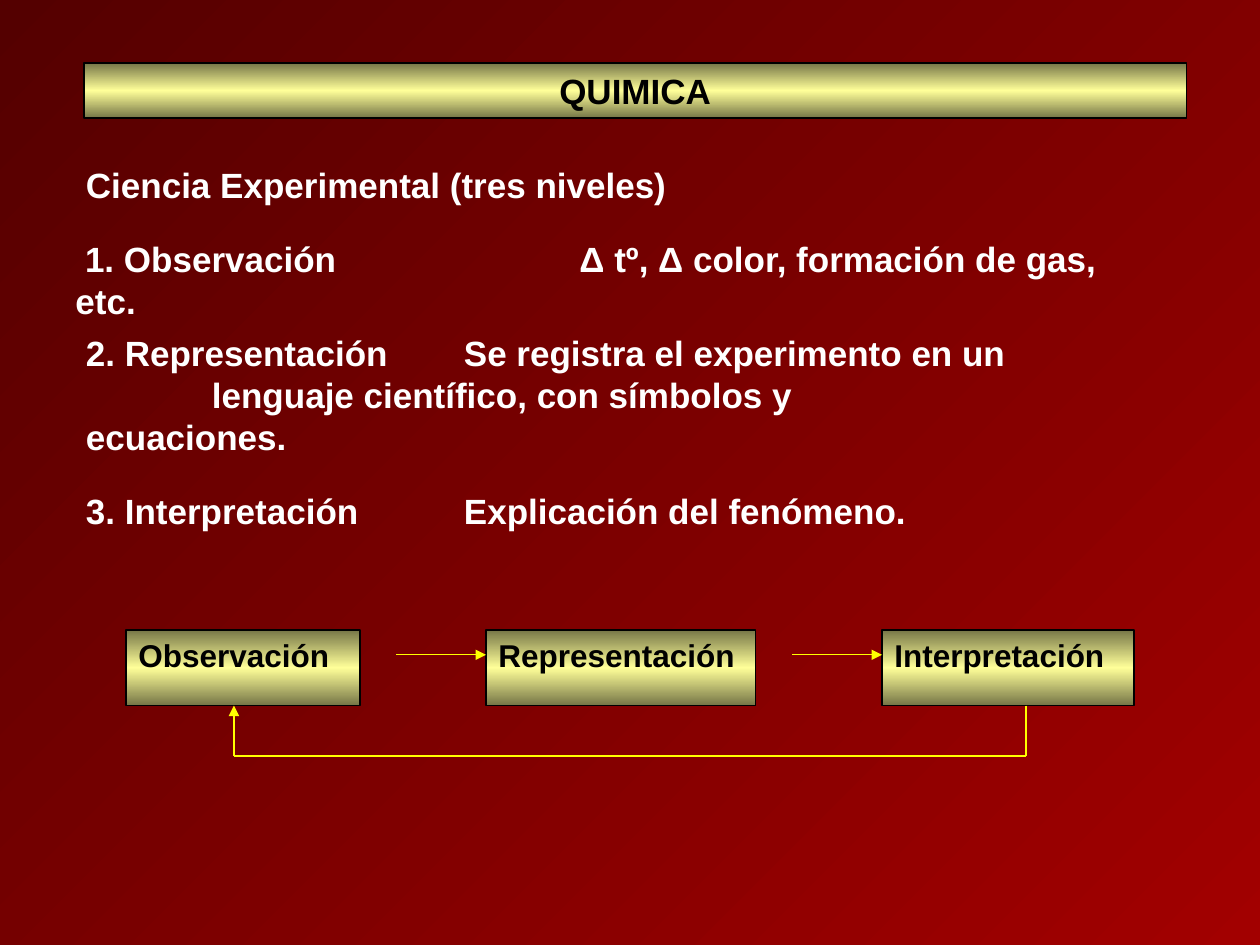
from copy import deepcopy

from pptx import Presentation
from pptx import util as u
from pptx.dml.color import RGBColor
from pptx.enum import shapes, text
from pptx.oxml.ns import qn
from pptx.oxml.xmlchemy import OxmlElement

Pt = u.Pt
DARK_RED = RGBColor(0x54, 0x00, 0x00)
RED = RGBColor(0xA2, 0x00, 0x00)
OLIVE = RGBColor(0x76, 0x76, 0x47)
CREAM = RGBColor(0xFF, 0xFF, 0x99)
YELLOW = RGBColor(0xFF, 0xFF, 0x00)
BLACK = RGBColor(0x00, 0x00, 0x00)
WHITE = RGBColor(0xFF, 0xFF, 0xFF)


def set_gradient(fill, stops, angle):
    for stop, (position, color) in zip(fill.gradient_stops, stops):
        stop.position = position
        stop.color.rgb = color
    fill.gradient_angle = angle


def set_text(sp, words, size, color, align=text.PP_ALIGN.LEFT, indent=0):
    tf = sp.text_frame
    frame_format = {"word_wrap": True, "vertical_anchor": text.MSO_ANCHOR.TOP}
    for name, value in frame_format.items():
        setattr(tf, name, value)
    p = tf.paragraphs[0]
    p.text = words
    p.alignment = align
    # One tab stop per inch
    pPr = p._p.get_or_add_pPr()
    pPr.set("indent", str(Pt(indent)))
    pPr.set("defTabSz", str(Pt(72)))
    font_format = {"name": "Arial", "size": Pt(size), "bold": True}
    for r in p.runs:
        for name, value in font_format.items():
            setattr(r.font, name, value)
        r.font.color.rgb = color


def add_bar(parent, x, y, w, h, words, size, align=text.PP_ALIGN.LEFT):
    sp = parent.add_shape(shapes.MSO_SHAPE.RECTANGLE, Pt(x), Pt(y), Pt(w), Pt(h))
    sp.shadow.inherit = False
    sp.fill.gradient()
    # The default gradient has two stops; the bar needs a third
    stops = sp._element.find(".//" + qn("a:gsLst"))
    stops.append(deepcopy(stops[0]))
    set_gradient(sp.fill, [(0, OLIVE), (0.5, CREAM), (1, OLIVE)], 270)
    sp.line.color.rgb = BLACK
    sp.line.width = Pt(0.75)
    set_text(sp, words, size, BLACK, align)


def add_line(parent, x1, y1, x2, y2, arrow=False):
    cn = parent.add_connector(shapes.MSO_CONNECTOR.STRAIGHT,
                              Pt(x1), Pt(y1), Pt(x2), Pt(y2))
    cn.line.color.rgb = YELLOW
    cn.line.width = Pt(0.75)
    if arrow:
        tail = OxmlElement("a:tailEnd")
        tail.set("type", "triangle")
        cn.line._get_or_add_ln().append(tail)
    cn._element.spPr.append(OxmlElement("a:effectLst"))


def add_levels(s, x, y, w):
    # Offset from the region's corner, width cut, height, first-line indent, words
    items = [
        (6, 0, 0, 31.5, 0, "Ciencia Experimental (tres niveles)"),
        (0, 42, 0, 31.5, 5.5,
         "1. Observación\t\tΔ tº, Δ color, formación de gas, etc."),
        (6, 96, 36, 79, 0,
         "2. Representación\tSe registra el experimento en un\v"
         "\tlenguaje científico, con símbolos y\vecuaciones."),
        (6, 186, 36, 31.5, 0, "3. Interpretación\tExplicación del fenómeno."),
    ]
    for dx, dy, cut, h, indent, words in items:
        sp = s.shapes.add_textbox(Pt(x + dx), Pt(y + dy), Pt(w - cut), Pt(h))
        set_text(sp, words, 20, WHITE, indent=indent)


def add_cycle(s, x, y, w, h):
    group = s.shapes.add_group_shape().shapes
    box_h = 0.6 * h
    arrow_y = y + 14.2
    # Boxes, each later one reached by an arrow
    steps = [(0, 133.8, "Observación"), (205.7, 154, "Representación"),
             (w - 144, 144, "Interpretación")]
    for dx, box_w, words in steps:
        add_bar(group, x + dx, y, box_w, box_h, words, 18)
    for dx, _, _ in steps[1:]:
        add_line(group, x + dx - 51.4, arrow_y, x + dx, arrow_y, True)
    # Return path
    start, end = x + w - 61.7, x + 61.7
    add_line(group, start, y + box_h, start, y + h)
    add_line(group, start, y + h, end, y + h)
    add_line(group, end, y + h, end, y + box_h, True)


def main():
    prs = Presentation()
    prs.slide_width, prs.slide_height = Pt(720), Pt(540)
    s = prs.slides.add_slide(prs.slide_layouts[6])
    fill = s.background.fill
    fill.gradient()
    set_gradient(fill, [(0, DARK_RED), (1, RED)], 315)
    add_bar(s.shapes, 48, 36, 630, 31.5, "QUIMICA", 20, text.PP_ALIGN.CENTER)
    add_levels(s, 36, 90, 636)
    add_cycle(s, 72, 360, 576, 72)
    prs.save("out.pptx")


if __name__ == "__main__":
    main()
